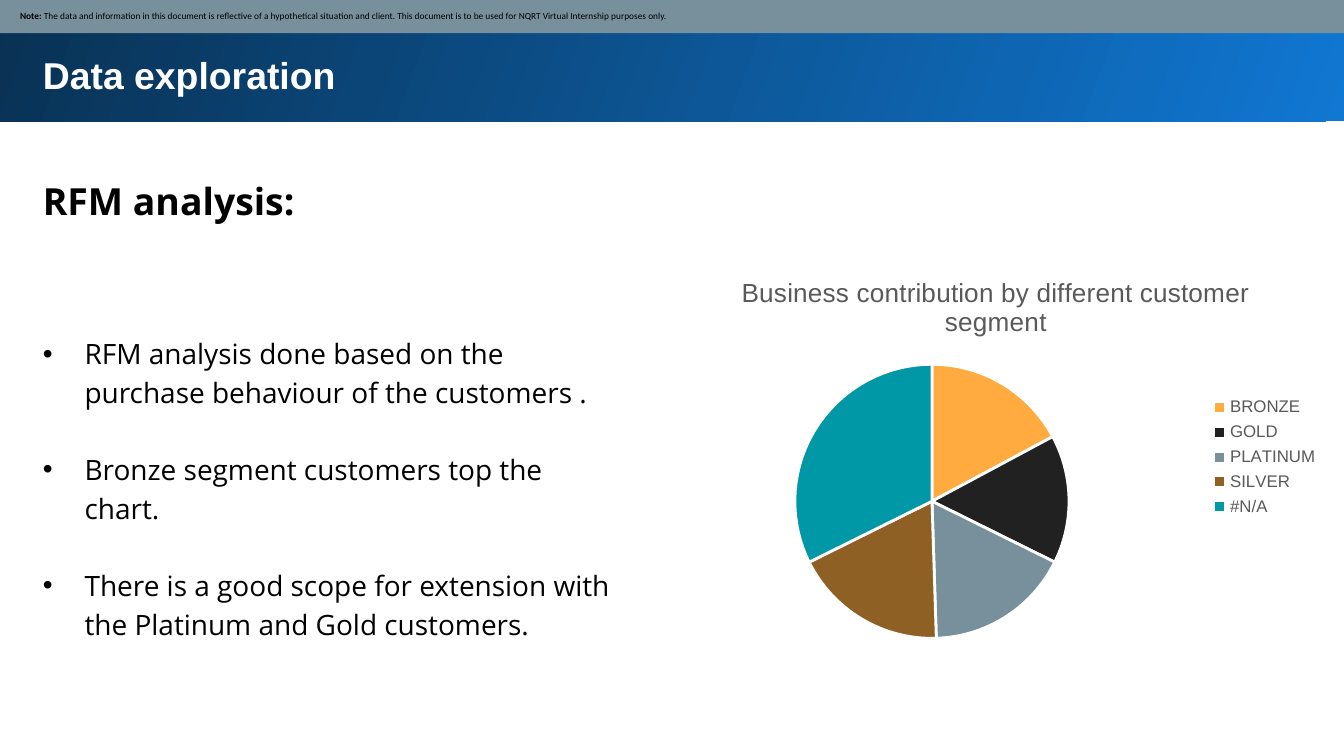
from lxml import etree
from pptx import Presentation
from pptx.chart.data import CategoryChartData
from pptx.dml.color import RGBColor
from pptx.enum.chart import XL_CHART_TYPE, XL_LEGEND_POSITION
from pptx.enum.shapes import MSO_SHAPE
from pptx.enum.text import MSO_ANCHOR, MSO_AUTO_SIZE, PP_ALIGN
from pptx.oxml.ns import qn
from pptx.util import Cm, Pt

PIE = XL_CHART_TYPE.PIE
LEGEND_RIGHT = XL_LEGEND_POSITION.RIGHT
RECTANGLE = MSO_SHAPE.RECTANGLE
TOP, MIDDLE = MSO_ANCHOR.TOP, MSO_ANCHOR.MIDDLE
NO_AUTOFIT = MSO_AUTO_SIZE.NONE
LEFT = PP_ALIGN.LEFT

TITLE_ONLY = 5
BLACK, WHITE, GREY, SLATE = "000000", "FFFFFF", "595959", "78909C"
BULLETS = [
    "RFM analysis done based on the purchase behaviour of the customers .",
    "Bronze segment customers top the chart.",
    "There is a good scope for extension with the Platinum and Gold customers.",
]
NOTE = [
    ("Note: ", True),
    ("The data and information in this document is reflective of a hypothetical "
     "situation and client. This document is to be used for NQRT Virtual "
     "Internship purposes only.", False),
]
SEGMENTS = [
    ("BRONZE", 17, "FFAB40"),
    ("GOLD", 15, "212121"),
    ("PLATINUM", 17, SLATE),
    ("SILVER", 18, "8F6024"),
    ("#N/A", 32, "0097A7"),
]


def color(value):
    """Return the colour for a hex string."""
    return RGBColor.from_string(value)


def style_font(font, name, size, value, bold=False):
    """Set the typeface, size, colour and weight of a font."""
    font.name, font.size, font.bold = name, Pt(size), bold
    font.color.rgb = color(value)


def place(shape, left, top, width, height):
    """Move and size a shape, in centimetres."""
    shape.left, shape.top = Cm(left), Cm(top)
    shape.width, shape.height = Cm(width), Cm(height)


def set_frame(frame, inset, anchor=TOP):
    """Give a text frame wrapping, equal insets and an anchor."""
    frame.word_wrap = True
    frame.auto_size = NO_AUTOFIT
    frame.vertical_anchor = anchor
    frame.margin_left = frame.margin_right = Cm(inset)
    frame.margin_top = frame.margin_bottom = Cm(inset)


def add_bar(slide, left, top, width, height):
    """Add a rectangle without line or shadow."""
    bar = slide.shapes.add_shape(RECTANGLE, Cm(left), Cm(top), Cm(width), Cm(height))
    bar.shadow.inherit = False
    bar.line.fill.background()
    return bar


def add_header(slide):
    """Add the gradient band and put the title on it."""
    band = add_bar(slide, -0.05, -0.05, 25.53, 2.34)
    band.fill.gradient()
    band.fill.gradient_angle = 160
    for stop, value in zip(band.fill.gradient_stops, ("1077D2", "093153")):
        stop.color.rgb = color(value)
    title = slide.shapes.title
    title.element.addprevious(band.element)
    place(title, 0.56, 0.74, 23.8, 1.37)
    set_frame(title.text_frame, 0.25)
    title.text_frame.text = "Data exploration"
    paragraph = title.text_frame.paragraphs[0]
    paragraph.alignment = LEFT
    style_font(paragraph.runs[0].font, "Arial", 20, WHITE, True)


def add_note(slide):
    """Add the disclaimer strip at the top edge."""
    strip = add_bar(slide, -0.03, -0.03, 25.48, 0.66)
    strip.fill.solid()
    strip.fill.fore_color.rgb = color(SLATE)
    set_frame(strip.text_frame, 0.13, MIDDLE)
    strip.text_frame.margin_left = Cm(0.41)
    paragraph = strip.text_frame.paragraphs[0]
    paragraph.alignment = LEFT
    for text, bold in NOTE:
        run = paragraph.add_run()
        run.text = text
        style_font(run.font, "Calibri", 5, BLACK, bold)


def add_text(slide, box, lines, size, bold=False):
    """Add a text box with one paragraph a line and return its paragraphs."""
    shape = slide.shapes.add_textbox(0, 0, 0, 0)
    place(shape, *box)
    set_frame(shape.text_frame, 0.25)
    shape.text_frame.text = "\n".join(lines)
    for paragraph in shape.text_frame.paragraphs:
        paragraph.line_spacing = 1.15
        style_font(paragraph.runs[0].font, "Open Sans", size, BLACK, bold)
    return shape.text_frame.paragraphs


def add_bullets(slide):
    """Add the bulleted findings."""
    paragraphs = add_text(slide, (0.56, 6.02, 11.48, 6.38), BULLETS, 15)
    for index, paragraph in enumerate(paragraphs):
        if index:
            paragraph.space_before = Pt(20.7)
        properties = paragraph._p.get_or_add_pPr()
        properties.set("marL", str(Cm(0.79)))
        properties.set("indent", str(-Cm(0.79)))
        font = etree.SubElement(properties, qn("a:buFont"))
        font.set("typeface", "Arial")
        etree.SubElement(properties, qn("a:buChar")).set("char", "\u2022")


def set_plot_layout(chart, **fractions):
    """Fix the inner plot area as fractions of the chart."""
    plot_area = chart.element.find(".//" + qn("c:plotArea"))
    layout = plot_area.find(qn("c:layout"))
    if layout is None:
        layout = etree.Element(qn("c:layout"))
        plot_area.insert(0, layout)
    manual = etree.SubElement(layout, qn("c:manualLayout"))
    settings = {"layoutTarget": "inner", "xMode": "edge", "yMode": "edge", **fractions}
    for tag, value in settings.items():
        etree.SubElement(manual, qn("c:" + tag)).set("val", str(value))


def add_segment_chart(slide):
    """Add the pie of customer segments."""
    names, values, fills = zip(*SEGMENTS)
    data = CategoryChartData()
    data.categories = names
    data.add_series("Series 1", values)
    chart = slide.shapes.add_chart(
        PIE, Cm(12.47), Cm(4.83), Cm(12.7), Cm(7.62), data).chart
    style_font(chart.font, "Arial", 10, BLACK)
    chart.has_title = True
    title = chart.chart_title
    title.text_frame.text = "Business contribution by different customer segment"
    style_font(title.text_frame.paragraphs[0].runs[0].font, "Arial", 14, GREY)
    title.include_in_layout = False
    chart.has_legend = True
    chart.legend.position = LEGEND_RIGHT
    chart.legend.include_in_layout = False
    style_font(chart.legend.font, "Arial", 9, GREY)
    plot = chart.plots[0]
    plot.vary_by_categories = True
    for index, value in enumerate(fills):
        slice_format = plot.series[0].points[index].format
        slice_format.fill.solid()
        slice_format.fill.fore_color.rgb = color(value)
        slice_format.line.color.rgb = color(WHITE)
        slice_format.line.width = Pt(1.5)
    set_plot_layout(chart, x=0.2, y=0.27, w=0.41, h=0.68)


def main():
    """Build the slide and save it."""
    presentation = Presentation()
    presentation.slide_width, presentation.slide_height = Cm(25.4), Cm(14.29)
    slide = presentation.slides.add_slide(presentation.slide_layouts[TITLE_ONLY])
    add_header(slide)
    add_text(slide, (0.56, 3, 23.8, 1.42), ["RFM analysis:"], 20, True)
    add_bullets(slide)
    add_note(slide)
    add_segment_chart(slide)
    presentation.save("out.pptx")


main()
